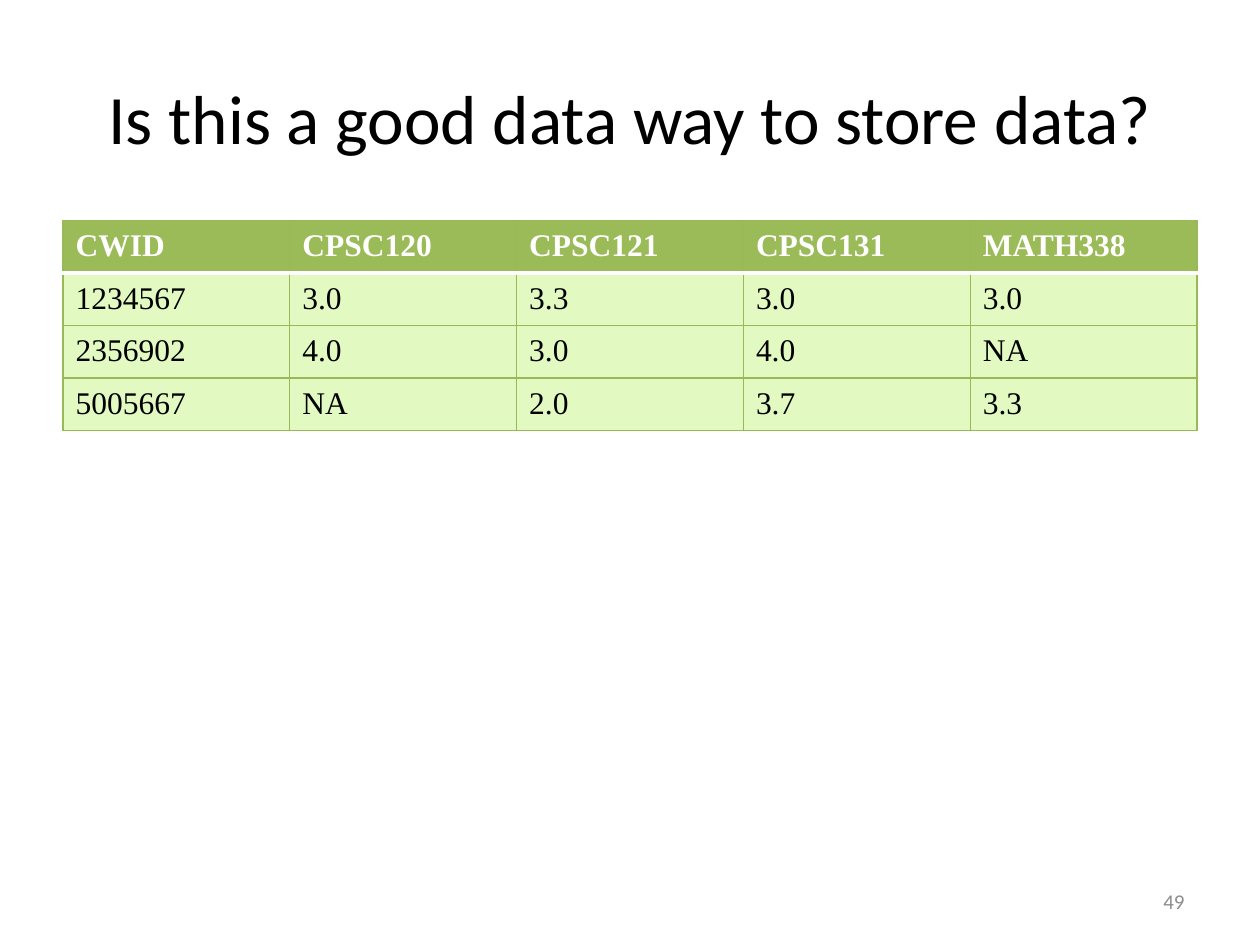
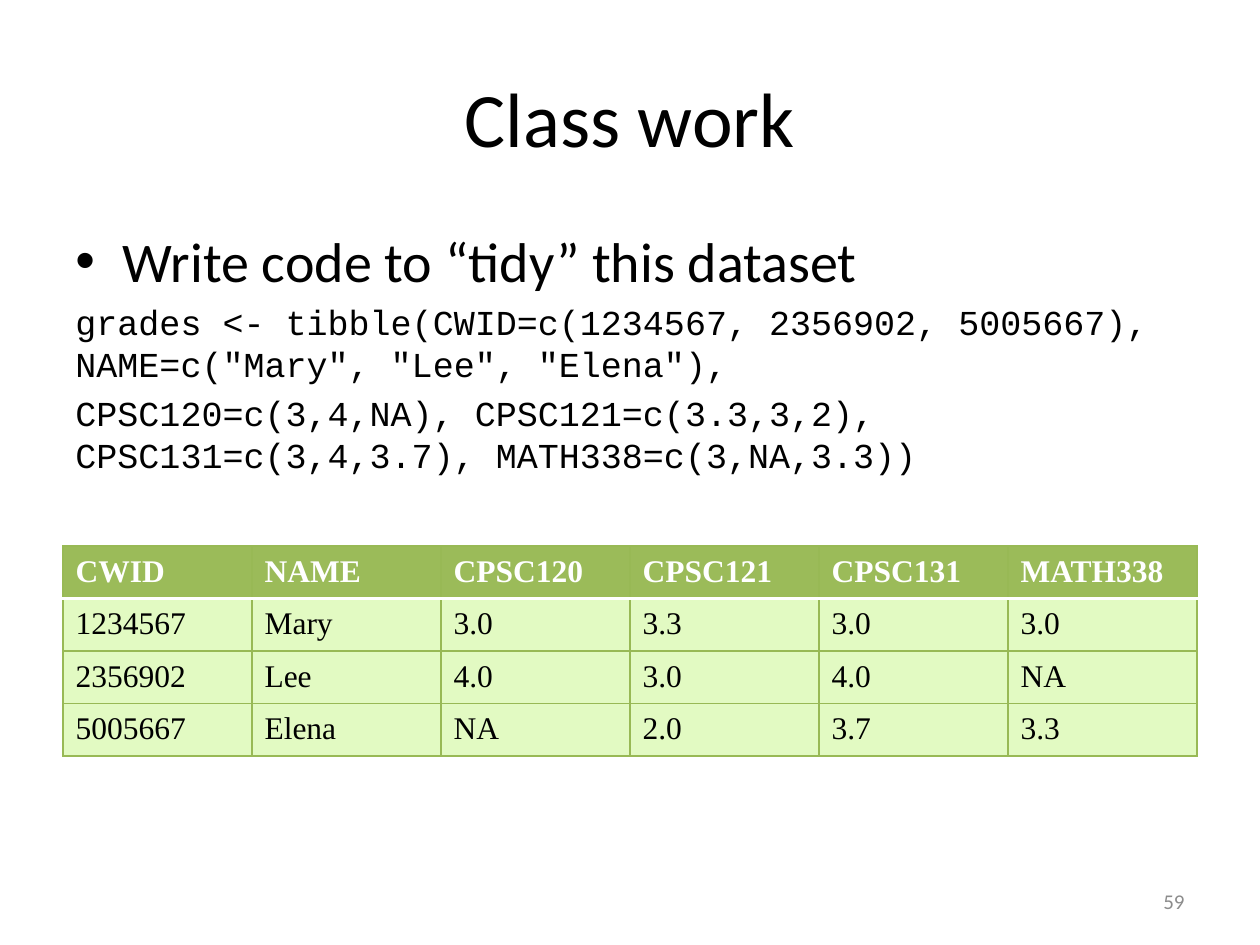
from lxml import etree
from pptx import Presentation
from pptx import oxml
from pptx.dml.color import RGBColor
from pptx.enum import text
from pptx.util import Pt

BLACK = RGBColor(0x00, 0x00, 0x00)
WHITE = RGBColor(0xFF, 0xFF, 0xFF)
GREY = RGBColor(0x8C, 0x8C, 0x8C)
HEADER_GREEN = RGBColor(0x9B, 0xBB, 0x59)
CELL_GREEN = RGBColor(0xE2, 0xFA, 0xC2)
BORDER_GREEN = RGBColor(0x98, 0xB9, 0x55)
A = "http://schemas.openxmlformats.org/drawingml/2006/main"

LEFT, WIDTH, ROW_HEIGHT = 36, 648, 30
ALIGN, ANCHOR = text.PP_ALIGN, text.MSO_ANCHOR


def write(frame, content, first=True, size=18, font="Calibri", color=BLACK, bold=False,
          align=ALIGN.LEFT, before=0, bullet=None):
    paragraph = frame.paragraphs[0] if first else frame.add_paragraph()
    if bullet:
        properties = paragraph._p.get_or_add_pPr()
        properties.set("marL", str(Pt(27)))
        properties.set("indent", str(Pt(-27)))
        etree.SubElement(properties, f"{{{A}}}buFont", typeface="Arial")
        etree.SubElement(properties, f"{{{A}}}buChar", char=bullet)
    paragraph.alignment = align
    paragraph.space_before = Pt(before)
    run = paragraph.add_run()
    run.text = content
    run.font.size, run.font.name, run.font.bold = Pt(size), font, bold
    run.font.color.rgb = color


def set_borders(cell, **sides):
    """Draw cell borders from (colour, width) pairs keyed L, R, T and B, in that order."""
    properties = cell._tc.get_or_add_tcPr()
    for position, (side, (color, width)) in enumerate(sides.items()):
        properties.insert(position, oxml.parse_xml(
            f'<a:ln{side} xmlns:a="{A}" w="{Pt(width)}"><a:solidFill>'
            f'<a:srgbClr val="{color}"/></a:solidFill></a:ln{side}>'))


grades = [
    ["CWID", "CPSC120", "CPSC121", "CPSC131", "MATH338"],
    ["1234567", "3.0", "3.3", "3.0", "3.0"],
    ["2356902", "4.0", "3.0", "4.0", "NA"],
    ["5005667", "NA", "2.0", "3.7", "3.3"],
]
names = ["NAME", "Mary", "Lee", "Elena"]
named_grades = [[row[0], name, *row[1:]] for row, name in zip(grades, names)]

exercise = [
    ("Write code to “tidy” this dataset", dict(size=32, bullet="•")),
    ('grades <- tibble(CWID=c(1234567, 2356902, 5005667), NAME=c("Mary", "Lee", "Elena"),',
     dict(size=20, font="Courier New", before=4)),
    ("CPSC120=c(3,4,NA), CPSC121=c(3.3,3,2), CPSC131=c(3,4,3.7), MATH338=c(3,NA,3.3))",
     dict(size=20, font="Courier New", before=4)),
]

# title, title size, page number, table top, table rows, body paragraphs
pages = [
    ("Is this a good data way to store data?", 39.6, "49", 126, grades, []),
    ("Class work", 44, "59", 312, named_grades, exercise),
]

deck = Presentation()
deck.slide_width, deck.slide_height = Pt(720), Pt(540)

for heading, heading_size, page_number, table_top, rows, body in pages:
    slide = deck.slides.add_slide(deck.slide_layouts[5])

    title = slide.shapes.title
    title.left, title.top, title.width, title.height = Pt(LEFT), Pt(21.6), Pt(WIDTH), Pt(90)
    title.text_frame.vertical_anchor = ANCHOR.MIDDLE
    write(title.text_frame, heading, size=heading_size, align=ALIGN.CENTER)

    table = slide.shapes.add_table(len(rows), len(rows[0]), Pt(LEFT), Pt(table_top),
                                   Pt(WIDTH), Pt(ROW_HEIGHT * len(rows))).table
    for r, row in enumerate(rows):
        is_header = r == 0
        for c, value in enumerate(row):
            cell = table.cell(r, c)
            cell.margin_top = cell.margin_bottom = Pt(4.6)
            cell.fill.solid()
            cell.fill.fore_color.rgb = HEADER_GREEN if is_header else CELL_GREEN
            write(cell.text_frame, value, font="Times New Roman", bold=is_header,
                  color=WHITE if is_header else BLACK)
            thin, divider = (BORDER_GREEN, 0.75), (WHITE, 2)
            set_borders(cell, L=thin, R=thin, T=divider if r == 1 else thin,
                        B=divider if is_header else thin)

    number = slide.shapes.add_textbox(Pt(516), Pt(500.5), Pt(168), Pt(28.75)).text_frame
    number.word_wrap = True
    number.vertical_anchor = ANCHOR.MIDDLE
    write(number, page_number, size=12, color=GREY, align=ALIGN.RIGHT)

    if body:
        task = slide.shapes.add_textbox(Pt(LEFT), Pt(126), Pt(660), Pt(356.4)).text_frame
        task.word_wrap = True
        for i, (line, line_format) in enumerate(body):
            write(task, line, first=i == 0, **line_format)

deck.save("out.pptx")
